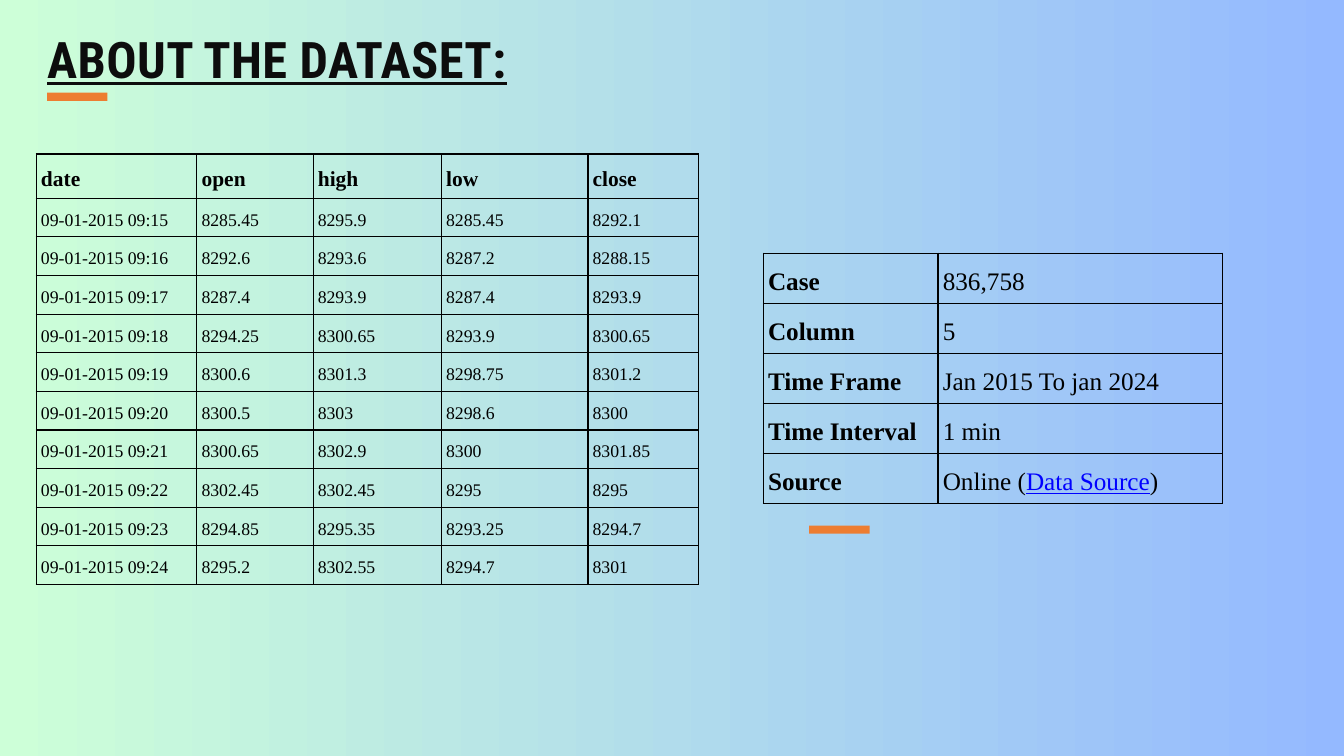
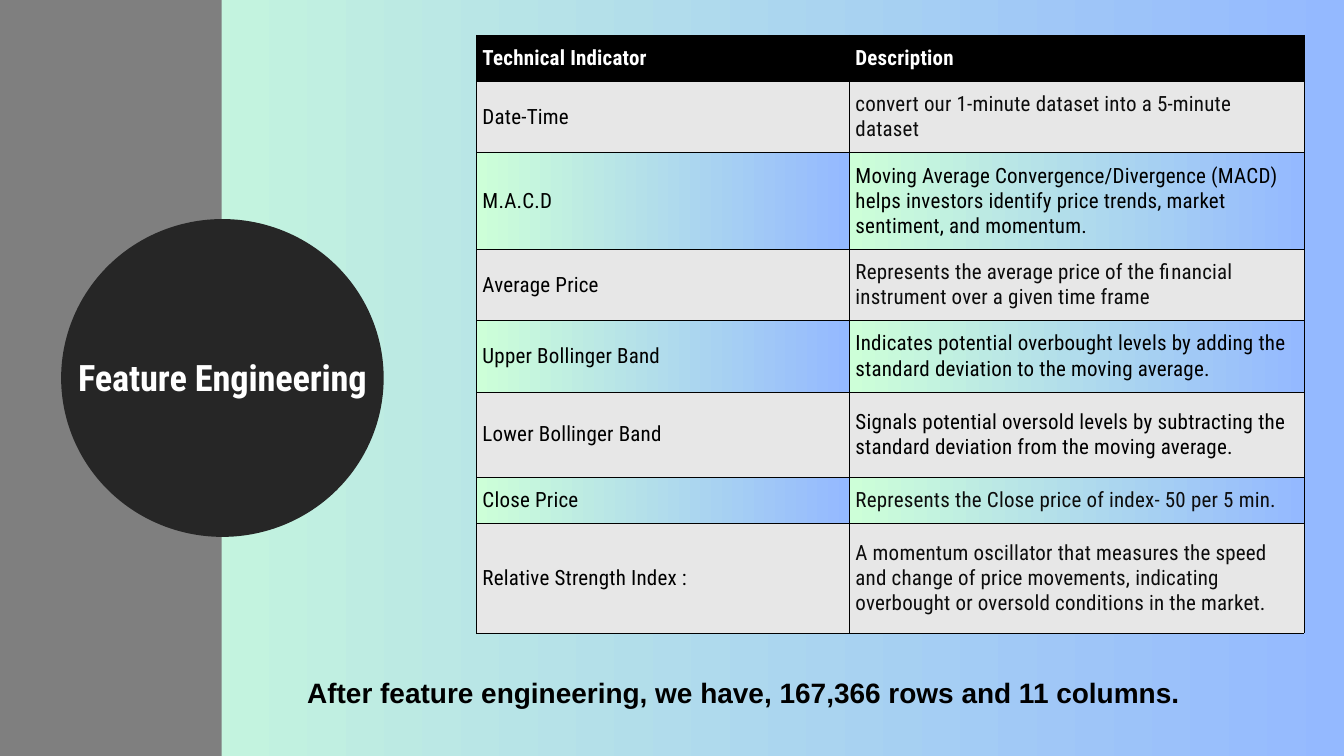
"""Build two slides on a price dataset and the features made from it."""
from lxml import etree
from pptx import Presentation
from pptx import util as u
from pptx.dml.color import RGBColor
from pptx.enum import shapes, text
from pptx.oxml import ns

MINT = RGBColor(0xCD, 0xFF, 0xD8)
SKY = RGBColor(0x94, 0xB9, 0xFF)
BLACK = RGBColor(0, 0, 0)
WHITE = RGBColor(0xFF, 0xFF, 0xFF)
INK = RGBColor(0x0D, 0x0D, 0x0D)
COAL = RGBColor(0x26, 0x26, 0x26)
GREY = RGBColor(0x7F, 0x7F, 0x7F)
PALE = RGBColor(0xE7, 0xE7, 0xE7)
BLUE = RGBColor(0, 0, 0xFF)
AMBER = RGBColor(0xED, 0x7D, 0x31)
SERIF, SANS = "Times New Roman", "Roboto Condensed"
LEFT, MID = text.PP_ALIGN.LEFT, text.PP_ALIGN.CENTER

HEAD = dict(name=SERIF, size=u.Pt(23), bold=True)
PRICE = dict(name=SERIF, size=u.Pt(19), bold=False)
LABEL = dict(name=SERIF, size=u.Pt(27), bold=True)
VALUE = dict(LABEL, bold=False)
TOP = dict(name=SANS, size=u.Pt(22.5), bold=True)
CELL = dict(TOP, bold=False)


def write(frame, words, form, lead, color=BLACK, align=LEFT, pad=0, gap=0):
    """Fill a frame or cell with one formatted paragraph."""
    for side in ("left", "right", "top", "bottom"):
        setattr(frame, "margin_" + side, u.Inches(pad))
    frame.vertical_anchor = text.MSO_ANCHOR.MIDDLE if pad else text.MSO_ANCHOR.TOP
    par = getattr(frame, "text_frame", frame).paragraphs[0]
    par.alignment, par.line_spacing, par.space_before = align, u.Pt(lead), u.Pt(0)
    for word in [words] if isinstance(words, str) else words:
        run = par.add_run()
        run.text = word
        for key, val in form.items():
            setattr(run.font, key, val)
        run.font.color.rgb = color
        if gap:
            run.font._element.set("spc", str(gap))
    return par


def grid(slide, left, top, cols, rows, line):
    """Add a plain table with black borders."""
    frame = slide.shapes.add_table(
        len(rows), len(cols), u.Inches(left), u.Inches(top),
        u.Inches(sum(cols)), u.Inches(sum(rows)))
    table = frame.table
    table.first_row = table.horz_banding = False
    for part, size in zip(table.columns, cols):
        part.width = u.Inches(size)
    for part, size in zip(table.rows, rows):
        part.height = u.Inches(size)
    for cell in table.iter_cells():
        props = cell._tc.get_or_add_tcPr()
        for side in "LRTB":
            edge = etree.SubElement(props, ns.qn("a:ln" + side), w=str(u.Pt(line)))
            fill = etree.SubElement(edge, ns.qn("a:solidFill"))
            etree.SubElement(fill, ns.qn("a:srgbClr"), val=str(BLACK))
        cell.fill.background()
    return table


deck = Presentation()
deck.slide_width, deck.slide_height = u.Inches(20), u.Inches(11.25)
back = deck.slide_master.background.fill
plain = deck.slide_layouts[5]
data, feat = [deck.slides.add_slide(plain) for _ in range(2)]

rect, oval = shapes.MSO_SHAPE.RECTANGLE, shapes.MSO_SHAPE.OVAL
for slide, kind, box, color in [
    (data, rect, (0.7, 1.38, 0.9, 0.12), AMBER),
    (data, rect, (12.04, 7.82, 0.9, 0.12), AMBER),
    (feat, rect, (0, 0, 3.3, 11.25), GREY),
    (feat, oval, (0.91, 3.26, 4.8, 4.73), COAL),
]:
    shape = slide.shapes.add_shape(kind, *map(u.Inches, box))
    shape.shadow.inherit = False
    shape.fill.solid()
    shape.fill.fore_color.rgb = color
    shape.line.fill.background()

for slide, words, box, form, look in [
    (data, "ABOUT THE DATASET:", (0.7, 0.42, 7.38, 0.96),
     dict(name=SANS, size=u.Pt(54), bold=True, underline=True),
     dict(lead=64.8, color=INK, gap=50)),
    (feat, "Feature Engineering", (0.91, 3.29, 4.8, 4.7),
     dict(name=SANS, size=u.Pt(39), bold=True),
     dict(lead=42.1, color=WHITE, align=MID, pad=0.06, gap=-20)),
]:
    title = slide.shapes.title
    title.left, title.top, title.width, title.height = map(u.Inches, box)
    title.text_frame.auto_size = text.MSO_AUTO_SIZE.NONE
    write(title.text_frame, words, form, **look)
    slide.shapes._spTree.append(title._element)

prices = """8285.45 8295.9 8285.45 8292.1
8292.6 8293.6 8287.2 8288.15
8287.4 8293.9 8287.4 8293.9
8294.25 8300.65 8293.9 8300.65
8300.6 8301.3 8298.75 8301.2
8300.5 8303 8298.6 8300
8300.65 8302.9 8300 8301.85
8302.45 8302.45 8295 8295
8294.85 8295.35 8293.25 8294.7
8295.2 8302.55 8294.7 8301"""
rows = [["date", "open", "high", "low", "close"]]
for step, line in enumerate(prices.splitlines()):
    rows.append([f"09-01-2015 09:{15 + step}"] + line.split())
table = grid(data, 0.54, 2.29, [2.39, 1.73, 1.91, 2.18, 1.65],
             [0.66] + [5.75 / 10] * 10, 1.5)
for r, row in enumerate(rows):
    for c, words in enumerate(row):
        form, lead = (PRICE, 26.6) if r else (HEAD, 32.2)
        write(table.cell(r, c), words, form, lead, pad=0.07)

facts = [
    ("Case", "836,758"),
    ("Column", "5"),
    ("Time Frame", "Jan 2015 To jan 2024"),
    ("Time Interval", "1 min"),
    ("Source", ["Online (", "Data Source", ")"]),
]
table = grid(data, 11.36, 3.77, [2.6, 4.23], [3.72 / 5] * 5, 1.5)
for r, (label, value) in enumerate(facts):
    write(table.cell(r, 0), label, LABEL, 37.8, pad=0.07)
    par = write(table.cell(r, 1), value, VALUE, 37.8, pad=0.07)
link = par.runs[1].font
link.underline, link.color.rgb = True, BLUE

terms = [
    ("Technical Indicator", "Description", 0.69),
    ("Date-Time", "convert our 1-minute dataset into a 5-minute dataset", 1.06),
    ("M.A.C.D", "Moving Average Convergence/Divergence (MACD) helps investors "
     "identify price trends, market sentiment, and momentum.", 1.44),
    ("Average Price", "Represents the average price of the financial instrument "
     "over a given time frame", 1.06),
    ("Upper Bollinger Band", "Indicates potential overbought levels by adding the "
     "standard deviation to the moving average.", 1.06),
    ("Lower Bollinger Band", "Signals potential oversold levels by subtracting the "
     "standard deviation from the moving average.", 1.27),
    ("Close Price", "Represents the Close price of index- 50 per 5 min.", 0.69),
    ("Relative Strength Index :", "A momentum oscillator that measures the speed and "
     "change of price movements, indicating overbought or oversold conditions in "
     "the market.", 1.63),
]
table = grid(feat, 7.09, 0.52, [5.55, 6.77], [term[2] for term in terms], 0.37)
fades = [back]
for r, term in enumerate(terms):
    for c in range(2):
        cell = table.cell(r, c)
        color = INK if c and r in (1, 3, 6, 7) else BLACK if r else WHITE
        write(cell, term[c], CELL if r else TOP, 27, color, pad=0.09, gap=20)
        if r and r % 2 == 0:
            fades.append(cell.fill)
        else:
            cell.fill.solid()
            cell.fill.fore_color.rgb = PALE if r else BLACK

for fill in fades:
    fill.gradient()
    fill.gradient_angle = 0
    for stop, color in zip(fill.gradient_stops, (MINT, SKY)):
        stop.color.rgb = color

note = feat.shapes.add_textbox(*map(u.Inches, (4.57, 10.05, 14.11, 0.57))).text_frame
note.word_wrap = True
write(note, "After feature engineering, we have, 167,366 rows and 11 columns.",
      dict(name="Arial", size=u.Pt(30), bold=True), 36)

deck.save("out.pptx")
